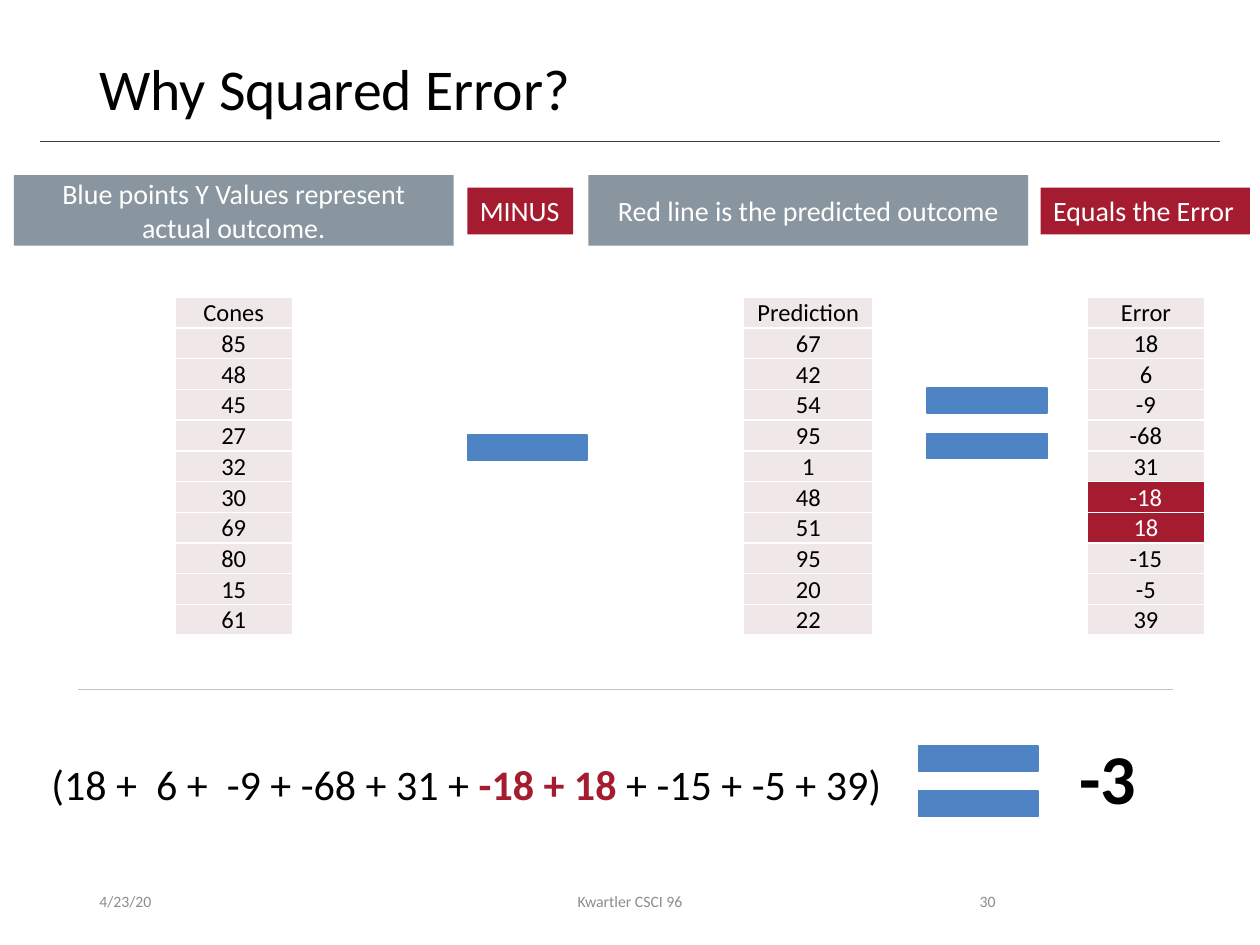
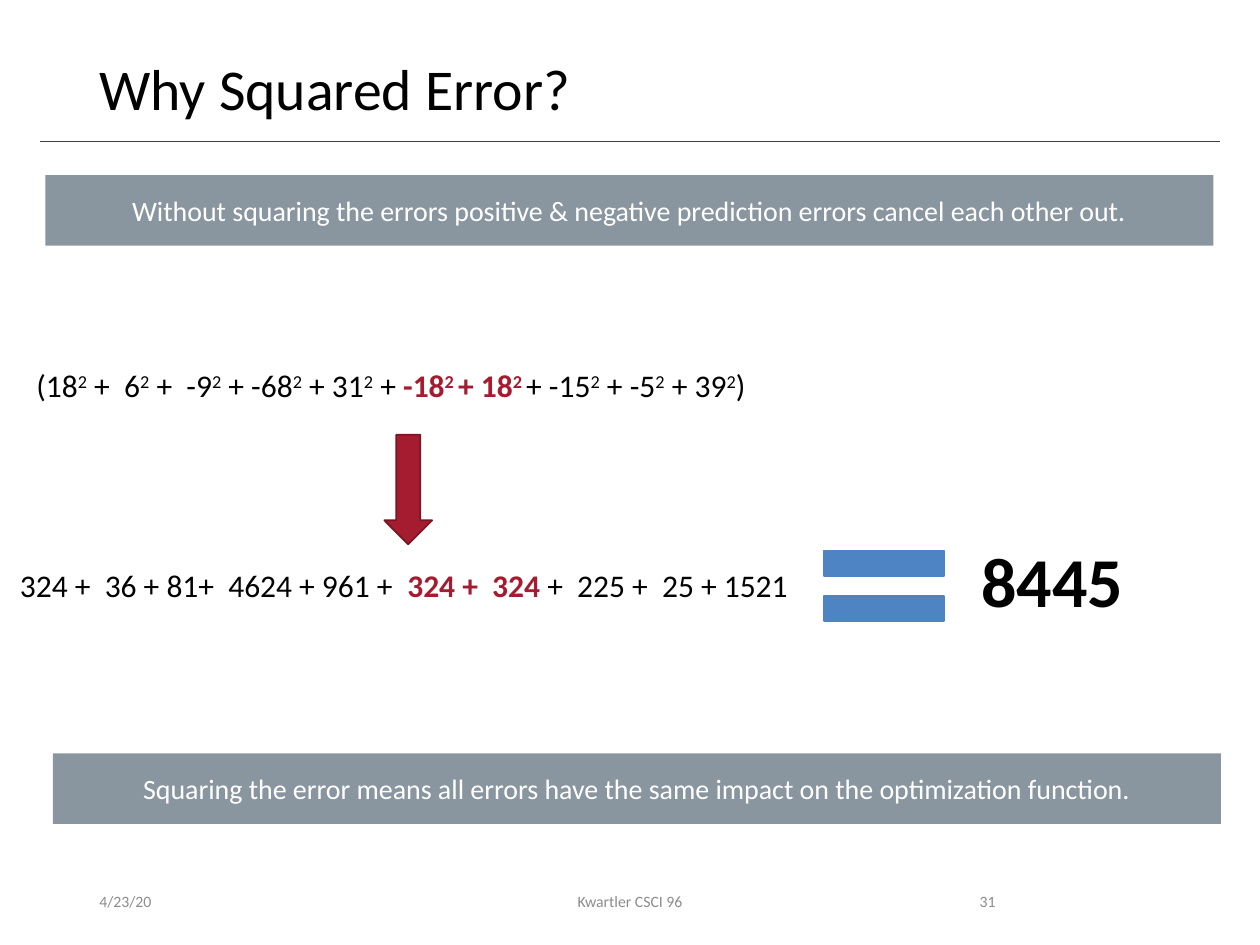
from typing import NamedTuple

from lxml.etree import SubElement
from pptx import Presentation
from pptx.dml.color import RGBColor
from pptx.enum.shapes import MSO_CONNECTOR as Link, MSO_SHAPE as Form
from pptx.enum.text import MSO_ANCHOR as Anchor, MSO_AUTO_SIZE as Auto, PP_ALIGN as Align
from pptx.oxml.ns import qn
from pptx.util import Emu, Pt

PX = 9144  # 100 px to the inch
FONT = "Calibri"
HUES = {
    "black": "000000",
    "white": "FFFFFF",
    "red": "A51C30",
    "wine": "7A1524",
    "slate": "8996A0",
    "blue": "4E84C4",
    "blush": "F0E8E8",
    "rule": "404040",
    "pale": "BAC5C6",
    "foot": "8C8C8C",
}


class Box(NamedTuple):
    left: int
    top: int
    width: int
    height: int


class Span(NamedTuple):
    text: str
    hot: bool = False


class Label(NamedTuple):
    text: str
    box: Box
    hue: str = "slate"


class Column(NamedTuple):
    head: str
    left: int
    width: int
    values: list[int]
    hot: tuple[int, ...] = ()


class Sum(NamedTuple):
    """Terms, an equals sign and the total."""
    box: Box
    size: int
    spans: list[Span]
    sign: tuple[int, int]
    total: str
    place: Box


def emu(*sizes: int) -> list[Emu]:
    return [Emu(size * PX) for size in sizes]


def tint(hue: str) -> RGBColor:
    return RGBColor.from_string(HUES[hue])


def style(run, size: int, hue: str, bold: bool = False) -> None:
    font = run.font
    font.name, font.size, font.bold = FONT, Pt(size), bold
    font.color.rgb = tint(hue)


def fill_text(shape, text: str, size: int, hue: str, align=Align.LEFT,
              anchor=Anchor.TOP, bold: bool = False) -> None:
    frame = shape.text_frame
    frame.text = text
    frame.vertical_anchor = anchor
    frame.word_wrap = True
    para = frame.paragraphs[0]
    para.alignment = align
    for run in para.runs:
        style(run, size, hue, bold)


def hug(shape) -> None:
    shape.text_frame.word_wrap = False
    shape.text_frame.auto_size = Auto.SHAPE_TO_FIT_TEXT


def add_text(slide, box: Box, text: str, size: int, hue: str, **looks):
    shape = slide.shapes.add_textbox(*emu(*box))
    fill_text(shape, text, size, hue, **looks)
    return shape


def add_form(slide, box: Box, hue: str, edge: str = "", form=Form.RECTANGLE):
    shape = slide.shapes.add_shape(form, *emu(*box))
    shape.shadow.inherit = False
    shape.fill.solid()
    shape.fill.fore_color.rgb = tint(hue)
    if edge:
        shape.line.color.rgb = tint(edge)
        shape.line.width = Pt(1)
    else:
        shape.line.fill.background()
    return shape


def add_rule(slide, left: int, right: int, top: int, hue: str) -> None:
    rule = slide.shapes.add_connector(Link.STRAIGHT, *emu(left, top, right, top))
    rule.line.color.rgb = tint(hue)
    rule.line.width = Pt(0.5)
    SubElement(rule._element.spPr, qn("a:effectLst"))


def add_band(slide, band: Label) -> None:
    shape = add_form(slide, band.box, band.hue)
    fill_text(shape, band.text, 16, "white", Align.CENTER, Anchor.MIDDLE)


def add_tag(slide, tag: Label) -> None:
    shape = add_form(slide, tag.box, tag.hue)
    fill_text(shape, tag.text, 16, "white")
    hug(shape)


def add_bars(slide, left: int, top: int, count: int = 2) -> None:
    """Draw a minus sign (one bar) or an equals sign (two bars)."""
    for row in range(count):
        add_form(slide, Box(left, top + 36 * row, 95, 20), "blue", "blue")


def add_spans(slide, box: Box, size: int, spans: list[Span]) -> None:
    """Write the spans in one line; text between two carets is raised."""
    shape = slide.shapes.add_textbox(*emu(*box))
    para = shape.text_frame.paragraphs[0]
    for span in spans:
        for index, part in enumerate(span.text.split("^")):
            if not part:
                continue
            run = para.add_run()
            run.text = part
            style(run, size, "red" if span.hot else "black", span.hot)
            if index % 2:
                run.font._element.set("baseline", "30000")
    hug(shape)


def add_sum(slide, item: Sum) -> None:
    add_spans(slide, item.box, item.size, item.spans)
    add_bars(slide, *item.sign)
    hug(add_text(slide, item.place, item.total, 40, "black", bold=True))


def add_edges(cell) -> None:
    props = cell._tc.get_or_add_tcPr()
    for side in ("lnL", "lnR", "lnT", "lnB"):
        edge = SubElement(props, qn(f"a:{side}"), w=str(Pt(1)))
        paint = SubElement(edge, qn("a:solidFill"))
        SubElement(paint, qn("a:srgbClr"), val=HUES["white"])


def add_column(slide, col: Column) -> None:
    texts = [col.head, *map(str, col.values)]
    box = Box(col.left, 236, col.width, 268)
    table = slide.shapes.add_table(len(texts), 1, *emu(*box)).table
    table.first_row = table.horz_banding = False
    for row, text in enumerate(texts):
        cell = table.cell(row, 0)
        hot = row in col.hot
        cell.margin_left, cell.margin_right, cell.margin_top, cell.margin_bottom = emu(1, 1, 1, 0)
        cell.vertical_anchor = Anchor.BOTTOM
        cell.text = text
        para = cell.text_frame.paragraphs[0]
        para.alignment = Align.CENTER
        style(para.runs[0], 14, "white" if hot else "black")
        add_edges(cell)
        cell.fill.solid()
        cell.fill.fore_color.rgb = tint("red" if hot else "blush")


def start(deck, number: int):
    """Add a slide with the shared title, rule and footer."""
    slide = deck.slides.add_slide(deck.slide_layouts[6])
    add_rule(slide, 32, 968, 112, "rule")
    title = add_text(slide, Box(69, 40, 862, 65), "Why Squared Error?", 33,
                     "black", anchor=Anchor.MIDDLE)
    title.text_frame.paragraphs[0].line_spacing = 0.9
    for text, left, width, align in (
        ("4/23/20", 69, 225, Align.LEFT),
        ("Kwartler CSCI 96", 331, 338, Align.CENTER),
        (str(number), 706, 94, Align.RIGHT),
    ):
        add_text(slide, Box(left, 695, width, 40), text, 9, "foot",
                 align=align, anchor=Anchor.MIDDLE)
    return slide


def draw_errors(deck) -> None:
    slide = start(deck, 30)
    for band in (
        Label("Blue points Y Values represent actual outcome.", Box(11, 139, 349, 56)),
        Label("Red line is the predicted outcome", Box(467, 139, 349, 56)),
    ):
        add_band(slide, band)
    for tag in (
        Label("MINUS", Box(371, 149, 84, 37), "red"),
        Label("Equals the Error", Box(826, 149, 166, 37), "red"),
    ):
        add_tag(slide, tag)
    cones = [85, 48, 45, 27, 32, 30, 69, 80, 15, 61]
    guess = [67, 42, 54, 95, 1, 48, 51, 95, 20, 22]
    gaps = [real - made for real, made in zip(cones, guess)]
    for col in (
        Column("Cones", 139, 93, cones),
        Column("Prediction", 590, 103, guess),
        Column("Error", 863, 93, gaps, (6, 7)),
    ):
        add_column(slide, col)
    add_bars(slide, 371, 345, 1)
    add_bars(slide, 736, 308)
    add_rule(slide, 62, 931, 547, "pale")
    add_sum(slide, Sum(
        Box(31, 597, 691, 50), 24,
        [Span("(18 +  6 +  -9 + -68 + 31 + "), Span("-18 + 18 ", True),
         Span("+ -15 + -5 + 39)")],
        (729, 592), "-3", Box(847, 578, 66, 77)))


def draw_squares(deck) -> None:
    slide = start(deck, 31)
    for band in (
        Label("Without squaring the errors positive & negative prediction errors "
              "cancel each other out.", Box(36, 139, 927, 56)),
        Label("Squaring the error means all errors have the same impact on the "
              "optimization function.", Box(42, 598, 927, 56)),
    ):
        add_band(slide, band)
    add_spans(slide, Box(19, 286, 611, 40), 18, [
        Span("(18^2^ +  6^2^ +  -9^2^ + -68^2^ + 31^2^ + "),
        Span("-18^2 ^+ 18^2 ^", True),
        Span("+ -15^2^ + -5^2^ + 39^2^)"),
    ])
    add_form(slide, Box(305, 345, 38, 87), "red", "wine", Form.DOWN_ARROW)
    add_sum(slide, Sum(
        Box(6, 444, 638, 40), 18,
        [Span("324 +  36 + 81+  4624 + 961 +  "), Span("324 +  324 ", True),
         Span("+  225 +  25 + 1521")],
        (654, 437), "8445", Box(769, 422, 134, 77)))


def main() -> None:
    deck = Presentation()
    deck.slide_width, deck.slide_height = emu(1000, 750)
    draw_errors(deck)
    draw_squares(deck)
    deck.save("out.pptx")


if __name__ == "__main__":
    main()
